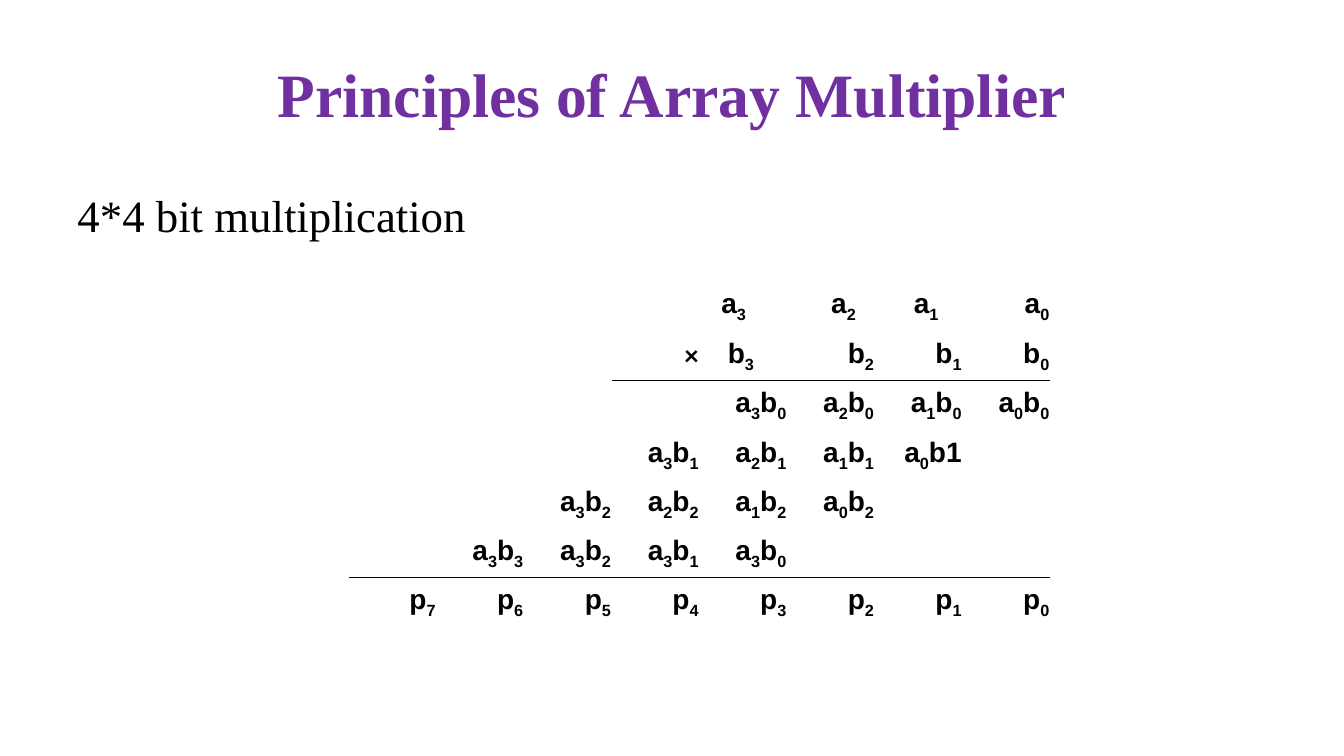
"""Build the slide on the principles of the array multiplier."""
from dataclasses import dataclass
from typing import Optional

from lxml.etree import SubElement
from pptx import Presentation
from pptx.dml.color import RGBColor
from pptx.enum.text import MSO_ANCHOR, PP_ALIGN
from pptx.oxml.ns import qn
from pptx.util import Inches, Pt

COLORS = {"title": "7030A0", "text": "000000", "rule": "000000"}
BITS = 4
COLUMNS = 2 * BITS
COLUMN_WIDTH = 0.87
ROW_HEIGHTS = [0.49] * 6 + [0.47]


@dataclass
class Heading:
    text: str
    top: float
    height: float
    size: int
    color: str
    bold: bool
    align: PP_ALIGN


@dataclass
class Term:
    """Spans split by underscores alternate between baseline and subscript."""
    row: int
    column: int
    text: str
    right_margin: float = 0.01
    font: str = "Arial"


@dataclass
class Rule:
    row_above: int
    first_column: int


HEADINGS = [
    Heading("Principles of Array Multiplier", 0.3, 1.25, 44, "title", True, PP_ALIGN.CENTER),
    Heading("4*4 bit multiplication", 1.81, 0.65, 32, "text", False, PP_ALIGN.LEFT),
]
RULES = [Rule(1, 3), Rule(5, 0)]


def product_text(a_bit: int, b_bit: int) -> str:
    if (a_bit, b_bit) == (0, 1):
        return "a_0_b1"
    return f"a_{a_bit}_b_{b_bit}"


def multiplication_terms() -> list[Term]:
    terms = [Term(1, 3, "×", font="Calibri")]
    factor_margins = {"a": [0.01, 0.24, 0.19, 0.41], "b": [0.01, 0.01, 0.01, 0.33]}
    for row, (factor, margins) in enumerate(factor_margins.items()):
        for bit, margin in enumerate(margins):
            terms.append(Term(row, COLUMNS - 1 - bit, f"{factor}_{bit}", margin))
    for shift in range(BITS):
        for bit in range(BITS):
            text = product_text(3, bit) if shift == 3 else product_text(bit, shift)
            terms.append(Term(2 + shift, COLUMNS - 1 - bit - shift, text))
    for bit in range(COLUMNS):
        terms.append(Term(6, COLUMNS - 1 - bit, f"p_{bit}"))
    return terms


def style_font(font, name: str, size: int, color: str, bold: bool) -> None:
    font.name = name
    font.size = Pt(size)
    font.bold = bold
    font.color.rgb = RGBColor.from_string(COLORS[color])


def draw_heading(page, heading: Heading) -> None:
    box = page.shapes.add_textbox(
        Inches(0.67), Inches(heading.top), Inches(12), Inches(heading.height))
    frame = box.text_frame
    frame.word_wrap = True
    frame.vertical_anchor = MSO_ANCHOR.MIDDLE if heading.bold else MSO_ANCHOR.TOP
    frame.text = heading.text
    para = frame.paragraphs[0]
    para.alignment = heading.align
    style_font(para.runs[0].font, "Times New Roman", heading.size, heading.color, heading.bold)


def draw_term(cell, term: Term) -> None:
    cell.margin_right = Inches(term.right_margin)
    para = cell.text_frame.paragraphs[0]
    para.alignment = PP_ALIGN.RIGHT
    for index, text in enumerate(term.text.split("_")):
        span = para.add_run()
        span.text = text
        style_font(span.font, term.font, 20, "text", True)
        if index % 2:
            span.font._element.set("baseline", "-25000")


def set_border(cell, side: str, color: Optional[str]) -> None:
    properties = cell._tc.get_or_add_tcPr()
    line = SubElement(properties, qn(f"a:{side}"), w=str(Pt(0.5)))
    if color is None:
        SubElement(line, qn("a:noFill"))
    else:
        fill = SubElement(line, qn("a:solidFill"))
        SubElement(fill, qn("a:srgbClr"), val=COLORS[color])


def style_cell(cell, row: int, column: int) -> None:
    cell.vertical_anchor = MSO_ANCHOR.MIDDLE
    cell.margin_left = cell.margin_right = cell.margin_top = Inches(0.01)
    cell.margin_bottom = 0
    ruled = [rule.row_above for rule in RULES if column >= rule.first_column]
    borders = {
        "lnL": None,
        "lnR": None,
        "lnT": "rule" if row - 1 in ruled else None,
        "lnB": "rule" if row in ruled else None,
    }
    for side, color in borders.items():
        set_border(cell, side, color)
    cell.fill.background()


def draw_multiplication(page) -> None:
    table = page.shapes.add_table(
        len(ROW_HEIGHTS), COLUMNS, Inches(3.46), Inches(2.79),
        Inches(COLUMNS * COLUMN_WIDTH), Inches(sum(ROW_HEIGHTS))).table
    table.first_row = False
    table.horz_banding = False
    for column in table.columns:
        column.width = Inches(COLUMN_WIDTH)
    for row, height in enumerate(ROW_HEIGHTS):
        table.rows[row].height = Inches(height)
        for column in range(COLUMNS):
            style_cell(table.cell(row, column), row, column)
    for term in multiplication_terms():
        draw_term(table.cell(term.row, term.column), term)


def main() -> None:
    deck = Presentation()
    deck.slide_width = Inches(13.33)
    deck.slide_height = Inches(7.5)
    page = deck.slides.add_slide(deck.slide_layouts[6])
    for heading in HEADINGS:
        draw_heading(page, heading)
    draw_multiplication(page)
    deck.save("out.pptx")


if __name__ == "__main__":
    main()
